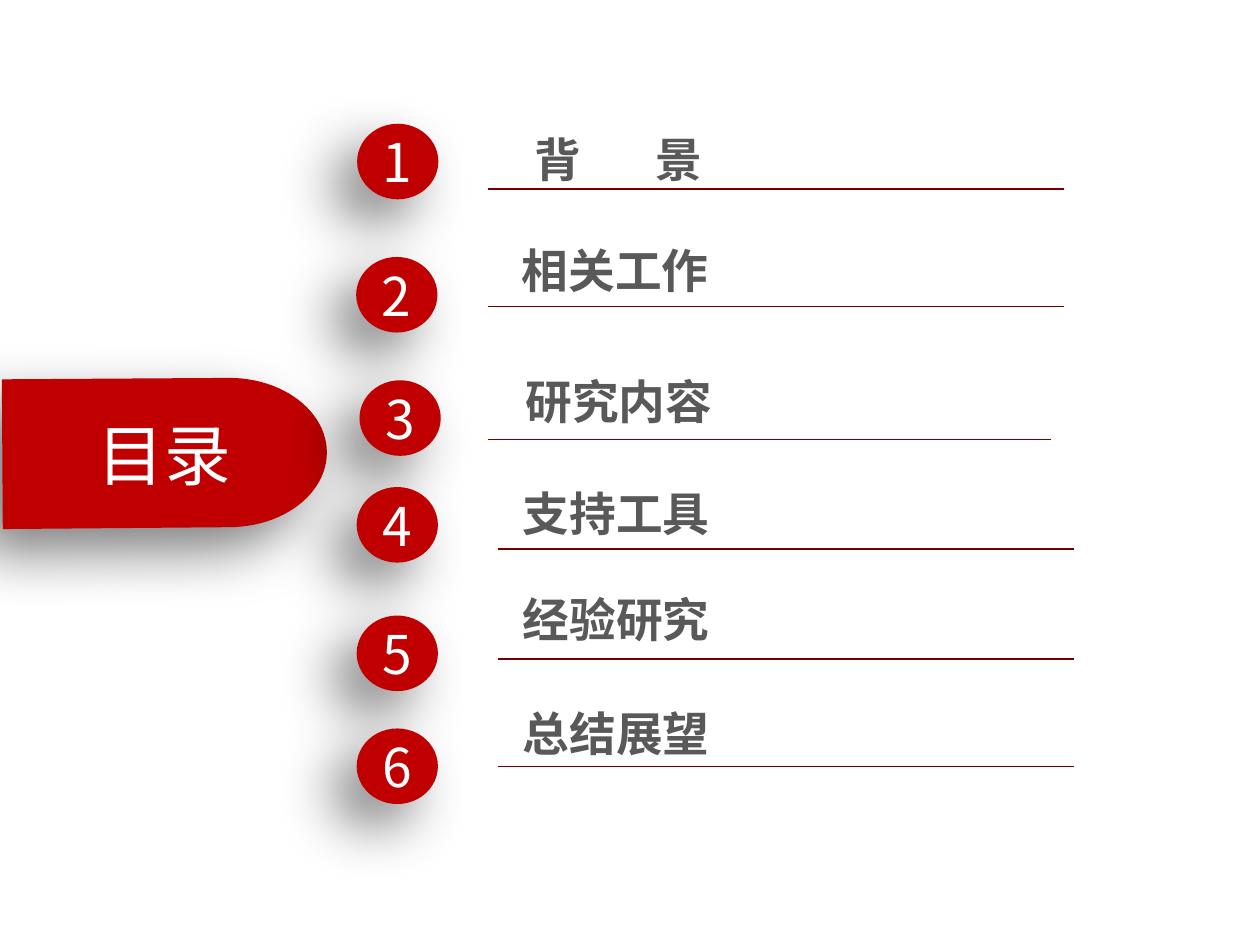
from dataclasses import dataclass
from math import cos, pi, sin

from lxml import etree
from pptx import Presentation
from pptx.dml.color import RGBColor
from pptx.enum.shapes import MSO_CONNECTOR, MSO_SHAPE
from pptx.enum.text import MSO_ANCHOR, MSO_AUTO_SIZE, PP_ALIGN
from pptx.oxml.ns import qn
from pptx.shapes.autoshape import Shape
from pptx.slide import Slide
from pptx.util import Cm, Pt

OVAL = MSO_SHAPE.OVAL
STRAIGHT = MSO_CONNECTOR.STRAIGHT
MIDDLE, TOP = MSO_ANCHOR.MIDDLE, MSO_ANCHOR.TOP
CENTER = PP_ALIGN.CENTER
FIT_SHAPE = MSO_AUTO_SIZE.SHAPE_TO_FIT_TEXT


@dataclass(frozen=True)
class Theme:
    font: str = "Noto Sans CJK SC"
    red: str = "C00000"
    rule: str = "760000"
    label: str = "595959"
    white: str = "FFFFFF"
    shadow: str = "000000"
    title_size: float = 40
    number_size: float = 32
    label_size: float = 28
    rule_width: float = 0.75


@dataclass(frozen=True)
class Entry:
    """One line of the contents; lengths in centimetres."""
    text: str
    badge_left: float
    badge_top: float
    label_left: float
    label_top: float
    rule_left: float
    rule_right: float
    rule_top: float
    label_width: float = 4.6
    word_gap: float = 0  # extra spacing up to the second word, in points


THEME = Theme()
BADGE_WIDTH, BADGE_HEIGHT, LABEL_HEIGHT = 1.72, 1.6, 1.5
ENTRIES = [
    Entry("背 景", 7.56, 2.62, 10.13, 2.62, 10.33, 22.53, 4.0, 5.92, 18.9),
    Entry("相关工作", 7.54, 5.44, 10.72, 4.98, 10.33, 22.53, 6.49),
    Entry("研究内容", 7.61, 8.05, 10.8, 7.75, 10.33, 22.25, 9.31),
    Entry("支持工具", 7.55, 10.31, 10.74, 10.11, 10.54, 22.73, 11.62),
    Entry("经验研究", 7.55, 13.03, 10.74, 12.36, 10.54, 22.73, 13.95),
    Entry("总结展望", 7.55, 15.42, 10.74, 14.78, 10.54, 22.73, 16.22),
]


def write_text(shape: Shape, text: str, *, size: float, color: str,
               bold: bool = False, anchor: MSO_ANCHOR = MIDDLE,
               wrap: bool = True, inset: tuple[float, float] = (0, 0),
               word_gap: float = 0) -> None:
    frame = shape.text_frame
    frame.word_wrap = wrap
    frame.vertical_anchor = anchor
    frame.margin_left = frame.margin_right = Cm(inset[0])
    frame.margin_top = frame.margin_bottom = Cm(inset[1])
    paragraph = frame.paragraphs[0]
    paragraph.alignment = CENTER
    parts = [text[:-1], text[-1]] if word_gap else [text]
    for index, part in enumerate(parts):
        run = paragraph.add_run()
        run.text = part
        run.font.name = THEME.font
        run.font.size = Pt(size)
        run.font.bold = bold
        run.font.color.rgb = RGBColor.from_string(color)
        properties = run.font._element
        etree.SubElement(properties, qn("a:ea"), typeface=THEME.font)
        if word_gap and index == 0:
            properties.set("spc", str(round(word_gap * 100)))


def style_red(shape: Shape) -> None:
    """Red fill, no outline and a soft shadow to the lower left."""
    shape.fill.solid()
    shape.fill.fore_color.rgb = RGBColor.from_string(THEME.red)
    shape.line.fill.background()
    shape.shadow.inherit = False
    effects = shape._element.spPr.find(qn("a:effectLst"))
    shadow = etree.SubElement(
        effects, qn("a:outerShdw"), blurRad=str(Pt(35)), dist=str(Pt(20)),
        dir=str(135 * 60000), algn="tr", rotWithShape="0")
    color = etree.SubElement(shadow, qn("a:srgbClr"), val=THEME.shadow)
    etree.SubElement(color, qn("a:alpha"), val="50000")


def add_title_tab(slide: Slide) -> None:
    center_x, center_y, radius_x, radius_y = 4.85, 9.58, 2.07, 1.58
    steps = 48
    angles = [pi * step / steps - pi / 2 for step in range(steps + 1)]
    arc = [(Cm(center_x + radius_x * cos(angle)),
            Cm(center_y + radius_y * sin(angle))) for angle in angles]
    builder = slide.shapes.build_freeform(Cm(0.04), Cm(8.03))
    builder.add_line_segments(arc + [(Cm(0.06), Cm(11.2))], close=True)
    tab = builder.convert_to_shape()
    style_red(tab)
    write_text(tab, "目录", size=THEME.title_size, color=THEME.white)


def add_rule(slide: Slide, entry: Entry) -> None:
    rule = slide.shapes.add_connector(
        STRAIGHT, Cm(entry.rule_left), Cm(entry.rule_top),
        Cm(entry.rule_right), Cm(entry.rule_top))
    rule.line.color.rgb = RGBColor.from_string(THEME.rule)
    rule.line.width = Pt(THEME.rule_width)
    etree.SubElement(rule._element.spPr, qn("a:effectLst"))


def add_badge(slide: Slide, number: int, entry: Entry) -> None:
    badge = slide.shapes.add_shape(
        OVAL, Cm(entry.badge_left), Cm(entry.badge_top),
        Cm(BADGE_WIDTH), Cm(BADGE_HEIGHT))
    style_red(badge)
    write_text(badge, str(number), size=THEME.number_size, color=THEME.white)


def add_label(slide: Slide, entry: Entry) -> None:
    label = slide.shapes.add_textbox(
        Cm(entry.label_left), Cm(entry.label_top),
        Cm(entry.label_width), Cm(LABEL_HEIGHT))
    write_text(label, entry.text, size=THEME.label_size, color=THEME.label,
               bold=True, anchor=TOP, wrap=bool(entry.word_gap),
               inset=(0.3, 0.15), word_gap=entry.word_gap)
    label.text_frame.auto_size = FIT_SHAPE


def main() -> None:
    presentation = Presentation()
    # Slide in the ratio 4:3
    presentation.slide_width = Cm(26.67)
    presentation.slide_height = Cm(26.67 * 3 / 4)
    slide = presentation.slides.add_slide(presentation.slide_layouts[6])

    # Rules lie behind everything else
    for entry in ENTRIES:
        add_rule(slide, entry)

    # Title tab at the left edge
    add_title_tab(slide)

    # Numbered entries
    for number, entry in enumerate(ENTRIES, start=1):
        add_badge(slide, number, entry)
        add_label(slide, entry)

    presentation.save("out.pptx")


if __name__ == "__main__":
    main()
